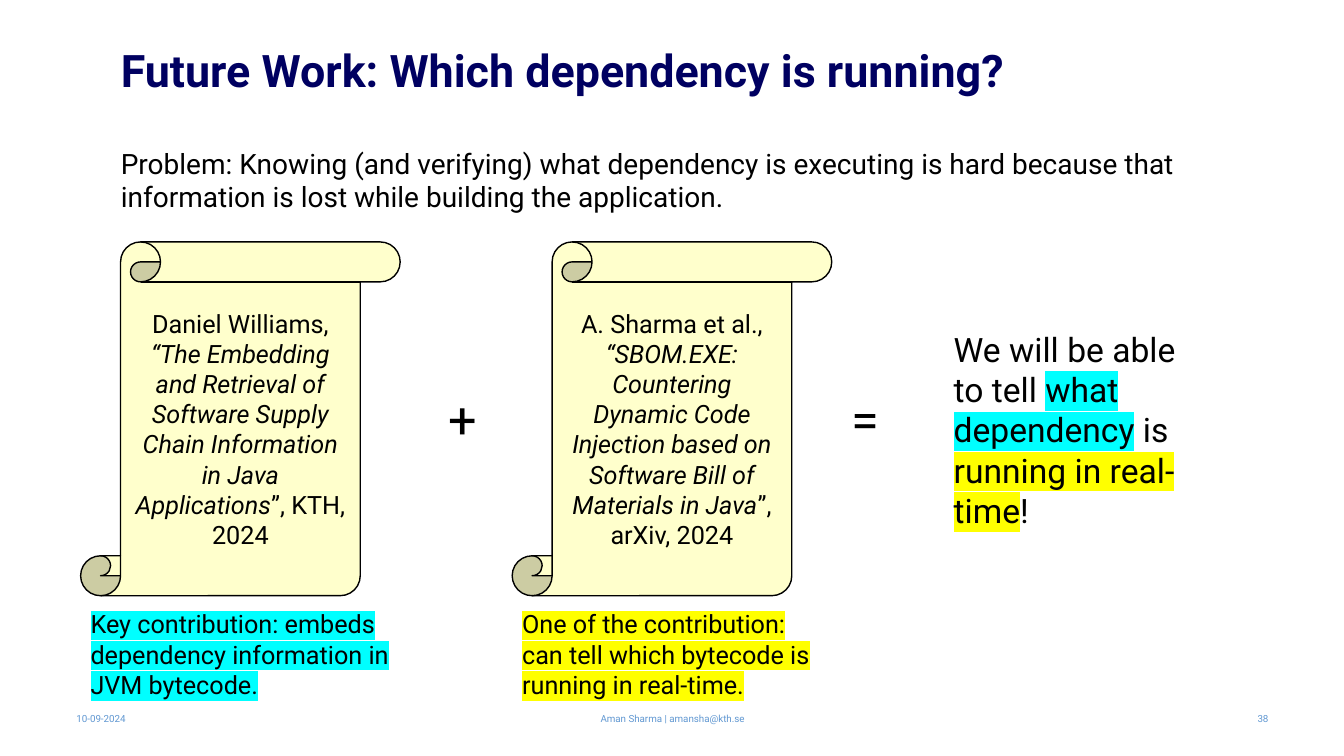
"""Build the slide on future work: two papers that add up to one result."""
import pptx
import pptx.dml.color
import pptx.enum.shapes
import pptx.enum.text
import pptx.oxml
import pptx.oxml.ns
import pptx.util

MID = pptx.enum.text.MSO_ANCHOR.MIDDLE
TOP = pptx.enum.text.MSO_ANCHOR.TOP
LEFT = pptx.enum.text.PP_ALIGN.LEFT
MIDST = pptx.enum.text.PP_ALIGN.CENTER
RIGHT = pptx.enum.text.PP_ALIGN.RIGHT
BLACK, NAVY, BLUE, CREAM = "000000", "000061", "6198D2", "FFFFCC"
CYAN, YELLOW = "00FFFF", "FFFF00"

deck = pptx.Presentation()
deck.slide_width = pptx.util.Inches(13.33)
deck.slide_height = pptx.util.Inches(7.5)
slide = deck.slides.add_slide(deck.slide_layouts[6])


def tint(code):
    """Turn a hex string into a colour."""
    return pptx.dml.color.RGBColor.from_string(code)


def put(box, paras, size, color=BLACK, align=LEFT, anchor=TOP, scroll=False):
    """Place text in a box given in percent of the slide; a run is (text, "", "i" or highlight)."""
    wide, high = deck.slide_width / 100, deck.slide_height / 100
    area = [int(share * unit) for share, unit in zip(box, (wide, high, wide, high))]
    if scroll:
        shape = slide.shapes.add_shape(pptx.enum.shapes.MSO_SHAPE.VERTICAL_SCROLL, *area)
        shape.shadow.inherit = False
        shape.fill.solid()
        shape.fill.fore_color.rgb = tint(CREAM)
        shape.line.color.rgb = tint(BLACK)
        shape.line.width = pptx.util.Pt(1)
    else:
        shape = slide.shapes.add_textbox(*area)
    frame = shape.text_frame
    frame.word_wrap = True
    frame.vertical_anchor = anchor
    for row, runs in enumerate(paras):
        para = frame.add_paragraph() if row else frame.paragraphs[0]
        para.alignment = align
        for text, style in runs:
            run = para.add_run()
            run.text = text
            run.font.name = "Roboto"
            run.font.size = pptx.util.Pt(size)
            run.font.color.rgb = tint(color)
            run.font.italic = style == "i"
            if style in (CYAN, YELLOW):
                mark = pptx.oxml.parse_xml(
                    f'<a:highlight {pptx.oxml.ns.nsdecls("a")}><a:srgbClr val="{style}"/></a:highlight>')
                run.font.fill._xPr.find(pptx.oxml.ns.qn("a:solidFill")).addnext(mark)
    return frame


title = put((8.25, 4.8, 86.8, 8.67), [[("Future Work: Which dependency is running?", "")]],
            32, NAVY, anchor=MID)
title.margin_top = pptx.util.Inches(0.12)
title.paragraphs[0].line_spacing = 0.9
title.paragraphs[0].runs[0].font.bold = True

for left, width, text, align in (
        (4.95, 22.5, "10-09-2024", LEFT),
        (33.16, 33.76, "Aman Sharma | amansha@kth.se", MIDST),
        (72.62, 22.5, "38", RIGHT)):
    put((left, 94.4, width, 1.4), [[(text, "")]], 7, BLUE, align, MID)

put((8.25, 18.67, 85.3, 10.27),
    [[("Problem: Knowing (and verifying) what dependency is executing is hard because that "
       "information is lost while building the application.", "")]], 20)

papers = (
    ([[("Daniel Williams, ", ""), ("“The Embedding and Retrieval of", "i")],
      [("Software Supply Chain Information", "i")],
      [("in Java Applications", "i"), ("”, KTH, 2024", "")]],
     ("Key contribution: embeds dependency information in JVM bytecode.", CYAN), "+"),
    ([[("A. Sharma et al., ", ""),
       ("“SBOM.EXE: Countering Dynamic Code Injection based on "
        "Software Bill of Materials in Java", "i"),
       ("”, arXiv, 2024", "")]],
     ("One of the contribution: can tell which bytecode is running in real-time.", YELLOW), "="),
)
for col, (cite, claim, sign) in enumerate(papers):
    left = 6 + 32.11 * col
    put((left, 32, 23.78, 46.8), cite, 18, align=MIDST, anchor=MID, scroll=True)
    put((left, 79.87, 23.78, 13.47), [[claim]], 18)
    put((31.96 + 29.93 * col, 50.67, 4.95, 9.47), [[(sign, "")]], 36, align=MIDST, anchor=MID)

put((70.22, 42.8, 20.11, 28.27),
    [[("We will be able to tell ", ""), ("what dependency", CYAN), (" is ", ""),
      ("running in real-time", YELLOW), ("!", "")]], 24)

deck.save("out.pptx")
